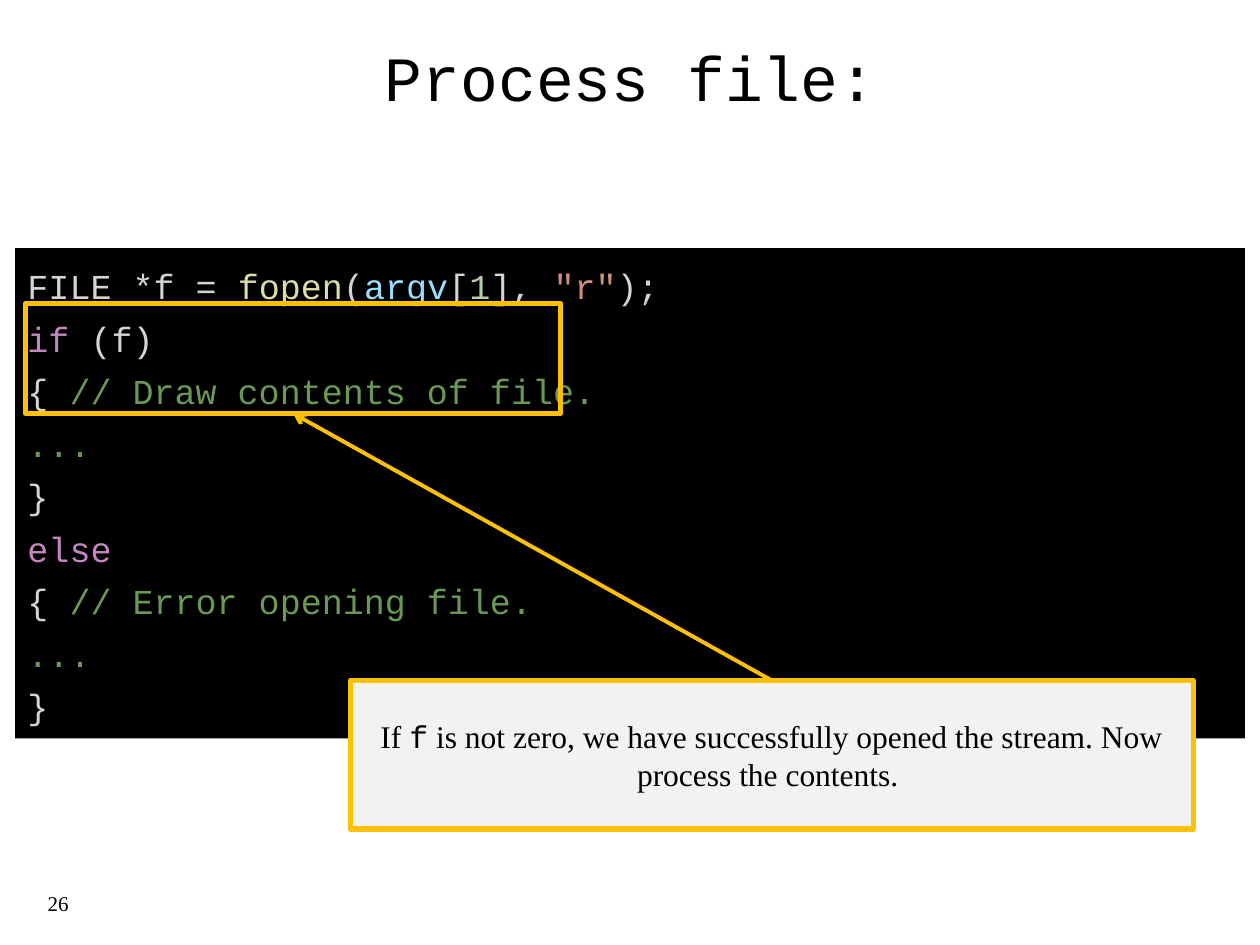
import pptx
import pptx.util
import pptx.dml.color
import pptx.enum.shapes
import pptx.enum.text
import pptx.oxml
import pptx.oxml.ns
from pptx.util import Inches

MONO, SERIF = "Courier New", "Times New Roman"
BLACK, GOLD = "000000", "FFC000"
PLAIN, KEYWORD, COMMENT = "D4D4D4", "C586C0", "6A9955"

CODE = [
    [("FILE *f = ", PLAIN), ("fopen", "DCDCAA"), ("(", PLAIN),
     ("argv", "9CDCFE"), ("[", PLAIN), ("1", "B5CEA8"), ("], ", PLAIN),
     ('"r"', "CE9178"), (");", PLAIN)],
    [("if ", KEYWORD), ("(f)", PLAIN)],
    [("{ ", PLAIN), ("// Draw contents of file.", COMMENT)],
    [("...", COMMENT)],
    [("}", PLAIN)],
    [("else", KEYWORD)],
    [("{ ", PLAIN), ("// Error opening file.", COMMENT)],
    [("...", COMMENT)],
    [("}", PLAIN)],
]


def rgb(color):
    return pptx.dml.color.RGBColor.from_string(color)


def set_font(font, size, name, color=BLACK):
    font.size = pptx.util.Pt(size)
    font.name = name
    font.color.rgb = rgb(color)


def place(shape, left, top, width, height):
    shape.left, shape.top = Inches(left), Inches(top)
    shape.width, shape.height = Inches(width), Inches(height)


def add_title(slide, text):
    title = slide.shapes.title
    place(title, 0.28, 0.06, 9.45, 1.09)
    title.text_frame.vertical_anchor = pptx.enum.text.MSO_ANCHOR.MIDDLE
    line = title.text_frame.paragraphs[0]
    line.text = text
    line.alignment = pptx.enum.text.PP_ALIGN.CENTER
    set_font(line.font, 36, MONO)


def add_page_number(slide, number):
    page = slide.shapes.add_textbox(
        Inches(0.28), Inches(6.97), Inches(7.32), Inches(0.4)).text_frame
    page.word_wrap = True
    page.vertical_anchor = pptx.enum.text.MSO_ANCHOR.MIDDLE
    page.paragraphs[0].text = number
    set_font(page.paragraphs[0].font, 12, SERIF)


def add_box(slide, left, top, width, height, fill=None, outline=None):
    box = slide.shapes.add_shape(
        pptx.enum.shapes.MSO_SHAPE.RECTANGLE,
        Inches(left), Inches(top), Inches(width), Inches(height))
    box.shadow.inherit = False
    if fill:
        box.fill.solid()
        box.fill.fore_color.rgb = rgb(fill)
    else:
        box.fill.background()
    if outline:
        box.line.color.rgb = rgb(outline)
        box.line.width = pptx.util.Pt(3)
    else:
        box.line.fill.background()
    return box


def write_code(panel, lines):
    frame = panel.text_frame
    frame.word_wrap = True
    frame.vertical_anchor = pptx.enum.text.MSO_ANCHOR.TOP
    for index, tokens in enumerate(lines):
        line = frame.add_paragraph() if index else frame.paragraphs[0]
        line.alignment = pptx.enum.text.PP_ALIGN.LEFT
        line.line_spacing = 1.25
        line.font.size = pptx.util.Pt(20)
        line.font.name = MONO
        for text, color in tokens:
            token = line.add_run()
            token.text = text
            token.font.color.rgb = rgb(color)


def write_callout(callout, pieces):
    frame = callout.text_frame
    frame.word_wrap = True
    frame.vertical_anchor = pptx.enum.text.MSO_ANCHOR.MIDDLE
    sentence = frame.paragraphs[0]
    sentence.alignment = pptx.enum.text.PP_ALIGN.CENTER
    for text, font_name in pieces:
        piece = sentence.add_run()
        piece.text = text
        set_font(piece.font, 18, font_name)


def add_pointer(slide, source, target):
    """Arrow from the top of source to the bottom of target."""
    pointer = slide.shapes.add_connector(
        pptx.enum.shapes.MSO_CONNECTOR.STRAIGHT, 0, 0, 0, 0)
    pointer.begin_connect(source, 0)
    pointer.end_connect(target, 2)
    pointer.line.color.rgb = rgb(GOLD)
    pointer.line.width = pptx.util.Pt(2.25)
    arrowhead = pptx.oxml.parse_xml(
        f'<a:tailEnd {pptx.oxml.ns.nsdecls("a")} type="arrow"/>')
    pointer.line._get_or_add_ln().append(arrowhead)
    pointer._element.spPr.append(
        pptx.oxml.parse_xml(f'<a:effectLst {pptx.oxml.ns.nsdecls("a")}/>'))


def main():
    deck = pptx.Presentation()
    deck.slide_width, deck.slide_height = Inches(10), Inches(7.5)
    slide = deck.slides.add_slide(deck.slide_layouts[5])  # Title Only

    add_title(slide, "Process file:")
    add_page_number(slide, "26")

    # Code listing
    panel = add_box(slide, 0.12, 1.97, 9.76, 3.89, fill=BLACK)
    write_code(panel, CODE)

    # Highlighted condition and its explanation
    highlight = add_box(slide, 0.2, 2.41, 4.25, 0.87, outline=GOLD)
    callout = add_box(slide, 2.78, 5.4, 6.69, 1.18, "F2F2F2", GOLD)
    write_callout(callout, [
        ("If ", SERIF),
        ("f", MONO),
        (" is not zero, we have successfully opened the stream. "
         "Now process the contents. ", SERIF),
    ])
    add_pointer(slide, callout, highlight)

    deck.save("out.pptx")


if __name__ == "__main__":
    main()
